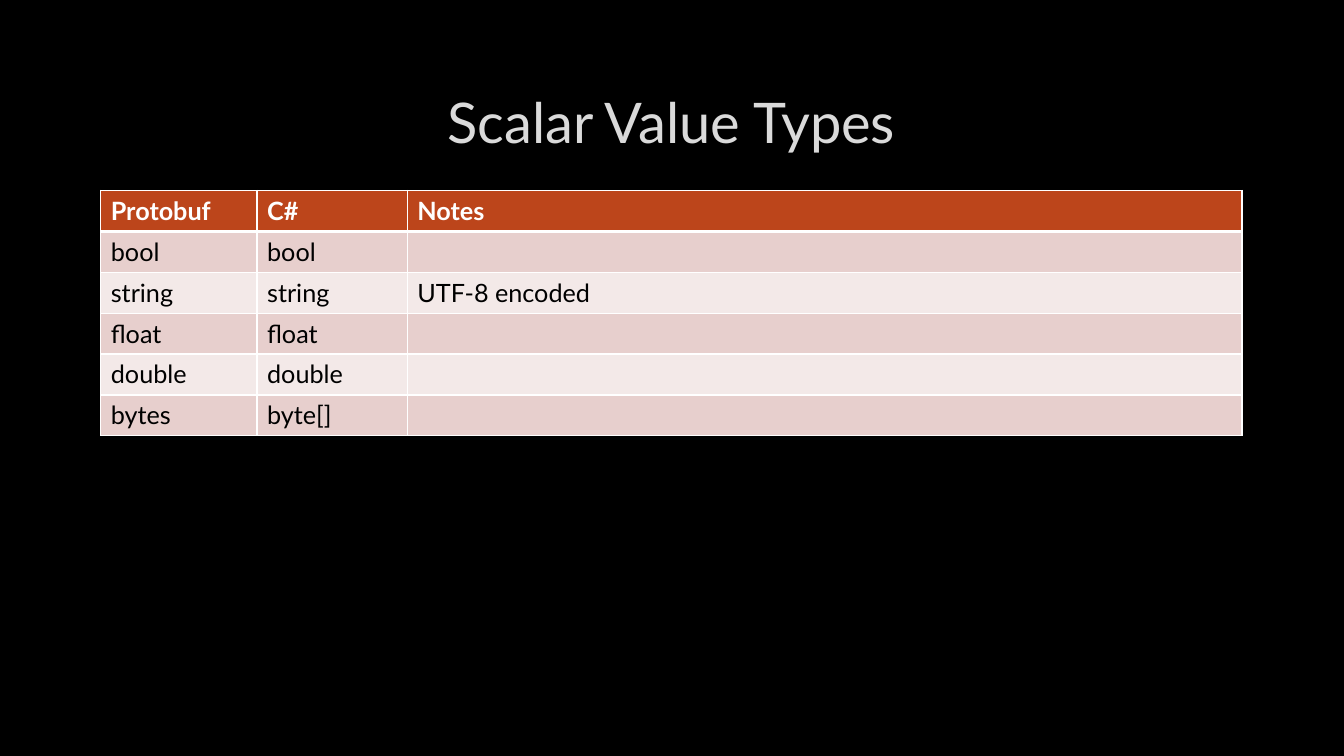
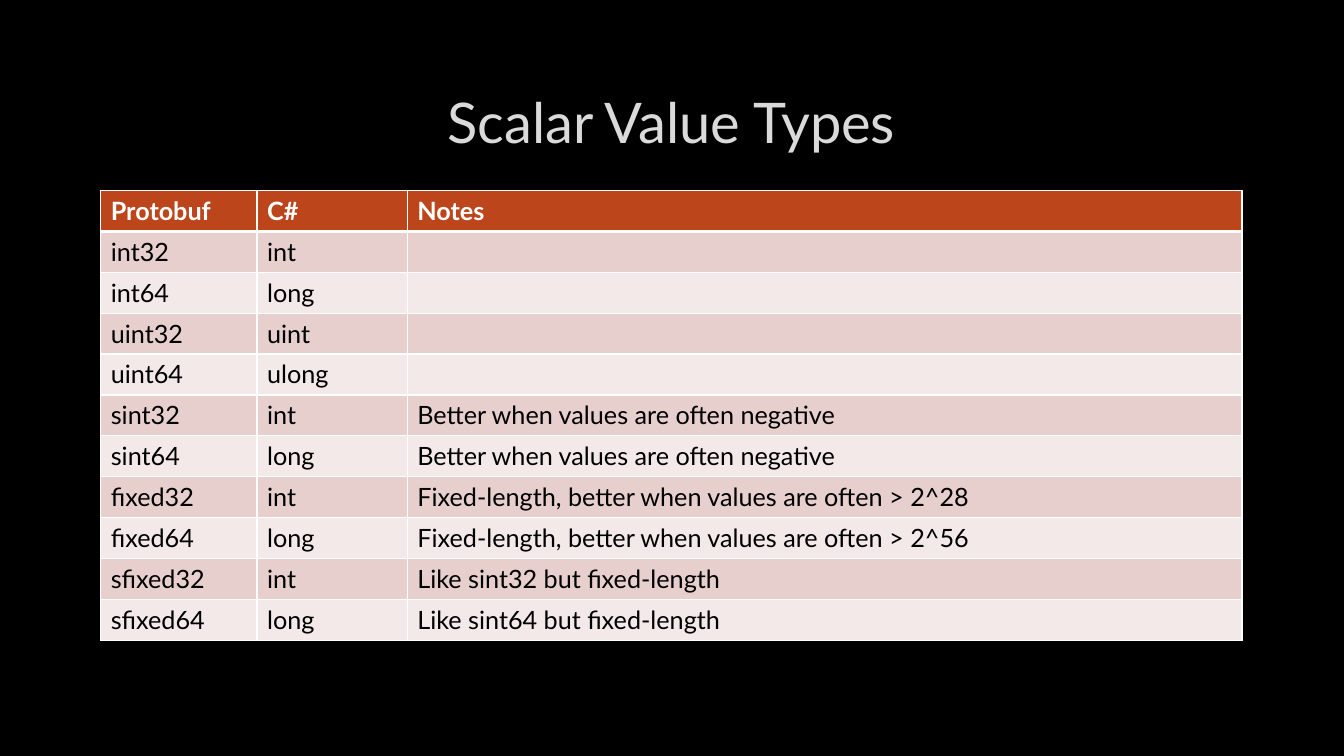
"""Build two slides that list the scalar value types of Protobuf."""
import dataclasses
import typing

import lxml.etree
import pptx
import pptx.dml.color
import pptx.enum.text
import pptx.oxml.ns
import pptx.presentation
import pptx.slide
import pptx.table
import pptx.text.text
import pptx.util


@dataclasses.dataclass(frozen=True)
class Theme:
    font: str = "Lato"
    back: str = "000000"
    title: str = "DADADA"
    edge: str = "404040"
    head: str = "BC451B"
    bands: tuple[str, str] = ("E7CFCD", "F3E9E8")
    light: str = "FFFFFF"
    dark: str = "000000"
    big: int = 40
    small: int = 18
    thin: float = 1
    thick: float = 3
    trim: float = 0.75
    alpha: int = 10


@dataclasses.dataclass(frozen=True)
class Grid:
    width: int = pptx.util.Inches(13.33)
    height: int = pptx.util.Inches(7.5)

    def across(self, share: float) -> int:
        return round(self.width * share / 100)

    def down(self, share: float) -> int:
        return round(self.height * share / 100)


class Row(typing.NamedTuple):
    proto: str
    sharp: str
    note: str = ""


@dataclasses.dataclass(frozen=True)
class Page:
    title: str
    rows: tuple[Row, ...]


THEME = Theme()
GRID = Grid()
LEFT = 7.5
WIDTHS = (11.63, 11.18, 62.11)
TITLE_TOP, TITLE_TALL = 8.93, 14.13
TABLE_TOP, ROW_TALL = 25.2, 5.41

HEAD = Row("Protobuf", "C#", "Notes")
TITLE = "Scalar Value Types"
SIGNED = "Better when values are often negative"
FIXED = "Fixed-length, better when values are often > 2^"
PAGES = (
    Page(TITLE, (
        Row("bool", "bool"),
        Row("string", "string", "UTF-8 encoded"),
        Row("float", "float"),
        Row("double", "double"),
        Row("bytes", "byte[]"),
    )),
    Page(TITLE, (
        Row("int32", "int"),
        Row("int64", "long"),
        Row("uint32", "uint"),
        Row("uint64", "ulong"),
        Row("sint32", "int", SIGNED),
        Row("sint64", "long", SIGNED),
        Row("fixed32", "int", FIXED + "28"),
        Row("fixed64", "long", FIXED + "56"),
        Row("sfixed32", "int", "Like sint32 but fixed-length"),
        Row("sfixed64", "long", "Like sint64 but fixed-length"),
    )),
)


def tint(code: str) -> pptx.dml.color.RGBColor:
    return pptx.dml.color.RGBColor.from_string(code)


def style(para: pptx.text.text._Paragraph, size: int, color: str, bold: bool = False) -> None:
    font = para.font
    font.name = THEME.font
    font.size = pptx.util.Pt(size)
    font.bold = bold
    font.color.rgb = tint(color)


def stroke(tag: str, color: str, points: float) -> lxml.etree._Element:
    name = pptx.oxml.ns.qn
    line = lxml.etree.Element(name(tag), w=str(pptx.util.Pt(points)))
    fill = lxml.etree.SubElement(line, name("a:solidFill"))
    lxml.etree.SubElement(fill, name("a:srgbClr"), val=color)
    return line


def draw_title(slide: pptx.slide.Slide, text: str) -> None:
    box = slide.shapes.add_textbox(GRID.across(LEFT), GRID.down(TITLE_TOP),
                                   GRID.across(sum(WIDTHS)), GRID.down(TITLE_TALL))
    frame = box.text_frame
    frame.word_wrap = True
    frame.vertical_anchor = pptx.enum.text.MSO_ANCHOR.MIDDLE
    para = frame.paragraphs[0]
    para.alignment = pptx.enum.text.PP_ALIGN.CENTER
    style(para, THEME.big, THEME.title)
    run = para.add_run()
    run.text = text
    edge = stroke("a:ln", THEME.edge, THEME.trim)
    lxml.etree.SubElement(edge[0][0], pptx.oxml.ns.qn("a:alpha"), val=str(THEME.alpha * 1000))
    run._r.get_or_add_rPr().insert(0, edge)


def draw_cell(cell: pptx.table._Cell, text: str, level: int) -> None:
    top = THEME.thick if level == 1 else THEME.thin
    base = THEME.thick if level == 0 else THEME.thin
    props = cell._tc.get_or_add_tcPr()
    for side, points in (("L", THEME.thin), ("R", THEME.thin), ("T", top), ("B", base)):
        props.append(stroke("a:ln" + side, THEME.light, points))
    cell.fill.solid()
    cell.fill.fore_color.rgb = tint(THEME.bands[(level - 1) % 2] if level else THEME.head)
    para = cell.text_frame.paragraphs[0]
    if text:
        para.text = text
    style(para, THEME.small, THEME.dark if level else THEME.light, level == 0)


def draw_table(slide: pptx.slide.Slide, rows: tuple[Row, ...]) -> None:
    lines = (HEAD, *rows)
    frame = slide.shapes.add_table(len(lines), len(WIDTHS),
                                   GRID.across(LEFT), GRID.down(TABLE_TOP),
                                   GRID.across(sum(WIDTHS)), GRID.down(ROW_TALL * len(lines)))
    table = frame.table
    for col, width in zip(table.columns, WIDTHS):
        col.width = GRID.across(width)
    for level, line in enumerate(lines):
        table.rows[level].height = GRID.down(ROW_TALL)
        for col, text in enumerate(line):
            draw_cell(table.cell(level, col), text, level)


def draw_page(deck: pptx.presentation.Presentation, page: Page) -> None:
    slide = deck.slides.add_slide(deck.slide_layouts[6])
    fill = slide.background.fill
    fill.solid()
    fill.fore_color.rgb = tint(THEME.back)
    draw_title(slide, page.title)
    draw_table(slide, page.rows)


def main() -> None:
    deck = pptx.Presentation()
    deck.slide_width, deck.slide_height = GRID.width, GRID.height
    for page in PAGES:
        draw_page(deck, page)
    deck.save("out.pptx")


main()
